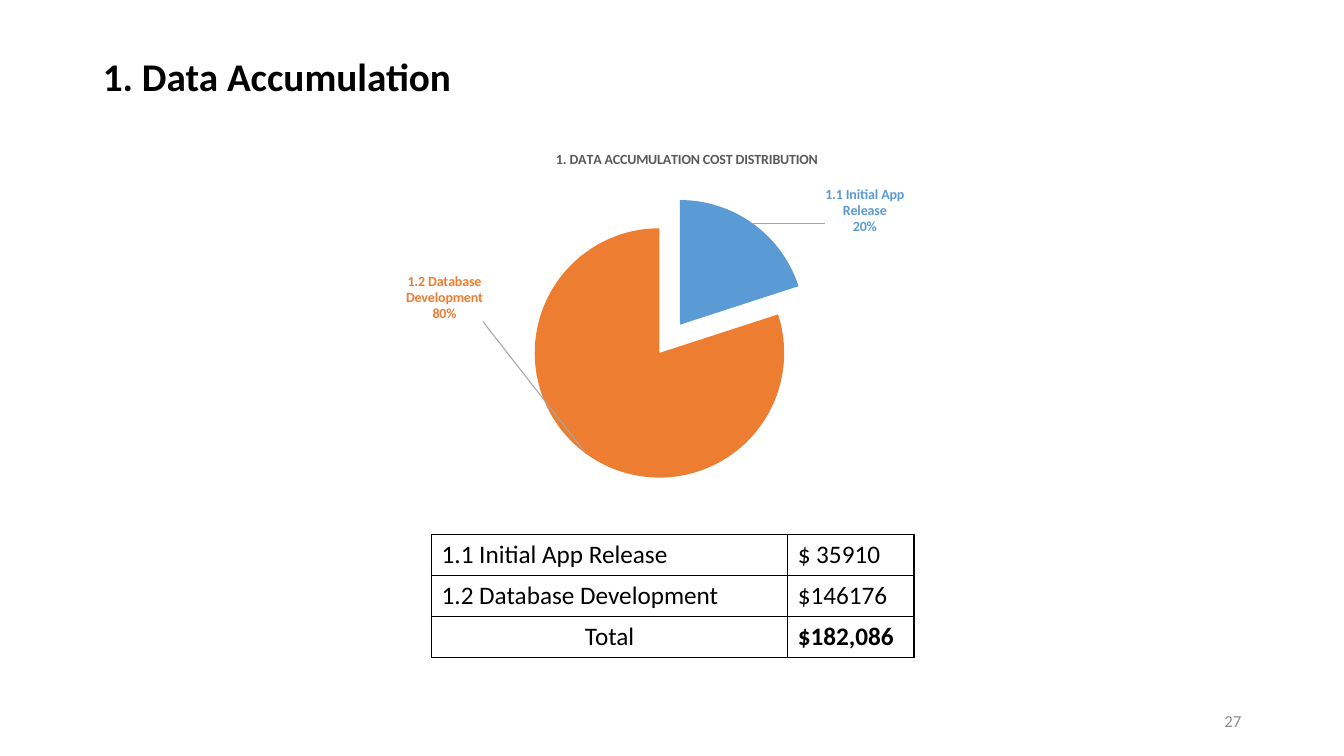
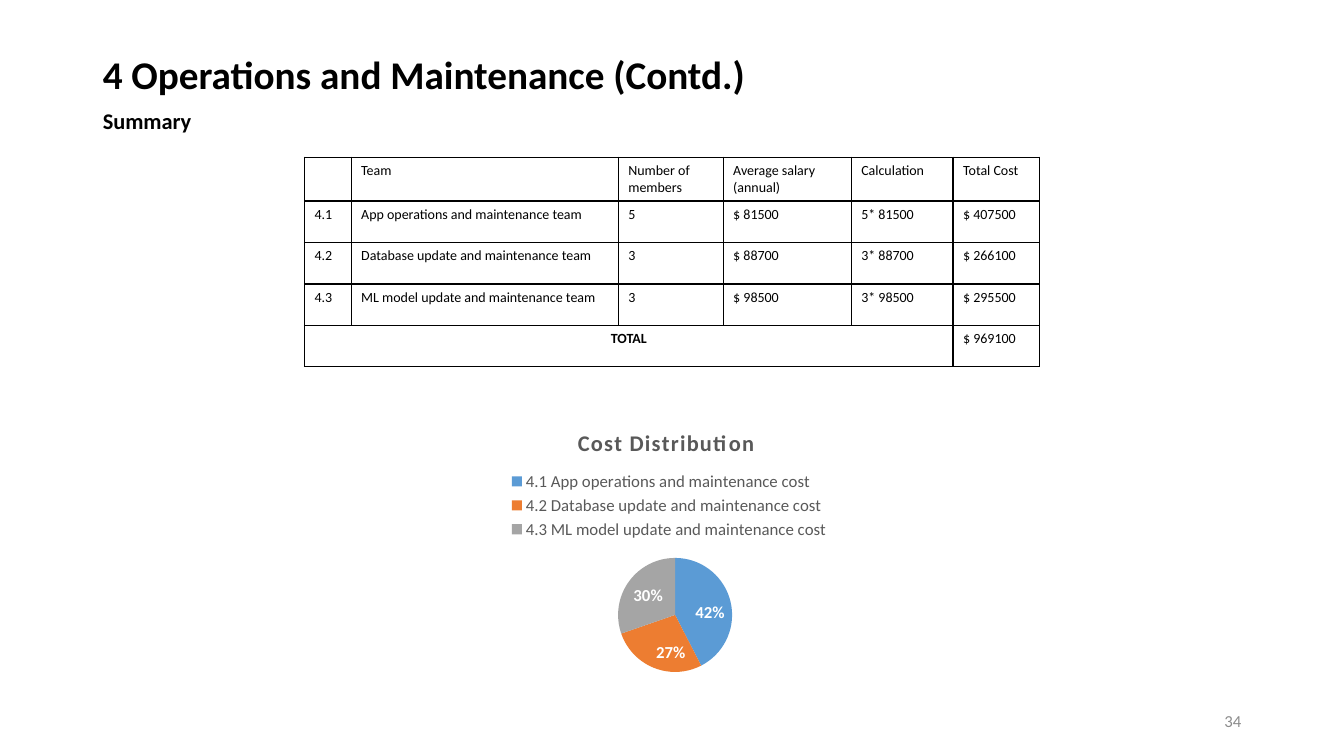
from dataclasses import dataclass
from typing import Optional

from pptx import Presentation
from pptx.chart.data import CategoryChartData
from pptx.dml.color import RGBColor
from pptx.enum.chart import XL_CHART_TYPE as ChartType
from pptx.enum.chart import XL_LABEL_POSITION as LabelPosition
from pptx.enum.chart import XL_LEGEND_POSITION as LegendPosition
from pptx.enum.text import MSO_ANCHOR as Anchor
from pptx.enum.text import PP_ALIGN as Align
from pptx.oxml import parse_xml
from pptx.oxml.ns import nsdecls, qn
from pptx.util import Inches, Pt

SLIDE_WIDTH, SLIDE_HEIGHT = Inches(13.33), Inches(7.5)
FONT = "Calibri"
COLORS = {
    "text": "000000",
    "muted": "8C8C8C",
    "chart_text": "595959",
    "leader": "A6A6A6",
    "white": "FFFFFF",
    "blue": "5B9BD5",
    "orange": "ED7D31",
    "gray": "A5A5A5",
}
SLICE_COLORS = ["blue", "orange", "gray"]
TITLE_ONLY, TITLE_AND_CONTENT = 5, 1


def across(percent: float) -> int:
    return round(SLIDE_WIDTH * percent / 100)


def down(percent: float) -> int:
    return round(SLIDE_HEIGHT * percent / 100)


@dataclass(frozen=True)
class Box:
    left: float
    top: float
    width: float
    height: float

    def lengths(self) -> tuple[int, int, int, int]:
        return across(self.left), down(self.top), across(self.width), down(self.height)


@dataclass(frozen=True)
class TextStyle:
    size: float
    color: str = "text"
    bold: bool = False
    align: Align = Align.LEFT


@dataclass(frozen=True)
class TableCell:
    text: str
    bold: bool = False
    align: Align = Align.LEFT
    span: int = 1


@dataclass(frozen=True)
class TablePlan:
    left: float
    top: float
    columns: list[float]
    row_height: float
    size: float
    rows: list[list[TableCell]]


@dataclass(frozen=True)
class PiePlan:
    box: Box
    title: str
    title_size: float
    title_spot: tuple[float, float]
    plot_spot: tuple[float, float, float, float]
    slices: dict[str, float]
    title_spacing: int = 0
    legend_spot: Optional[tuple[float, float]] = None
    explosion: int = 0
    label_shifts: Optional[list[tuple[float, float]]] = None


NUMBER_BOX = Box(70.6, 92.7, 22.5, 5.33)
TITLE_STYLE = TextStyle(28, bold=True)
BODY_STYLE = TextStyle(16, bold=True, align=Align.JUSTIFY)
NUMBER_STYLE = TextStyle(12, "muted", align=Align.RIGHT)


def style_font(font, style: TextStyle) -> None:
    font.name = FONT
    font.size = Pt(style.size)
    font.bold = style.bold
    font.color.rgb = RGBColor.from_string(COLORS[style.color])


def write(frame, text: str, style: TextStyle) -> None:
    for index, line in enumerate(text.split("\n")):
        paragraph = frame.add_paragraph() if index else frame.paragraphs[0]
        paragraph.alignment = style.align
        if line:
            run = paragraph.add_run()
            run.text = line
            style_font(run.font, style)


def place(shape, box: Box) -> None:
    shape.left, shape.top, shape.width, shape.height = box.lengths()


def start_slide(presentation, layout: int, title: str, title_height: float, number: str):
    slide = presentation.slides.add_slide(presentation.slide_layouts[layout])
    heading = slide.shapes.title
    place(heading, Box(6.9, 5.33, 86.25, title_height))
    heading.text_frame.vertical_anchor = Anchor.MIDDLE
    write(heading.text_frame, title, TITLE_STYLE)
    heading.text_frame.paragraphs[0].line_spacing = 0.9
    number_box = slide.shapes.add_textbox(*NUMBER_BOX.lengths())
    number_box.text_frame.word_wrap = True
    number_box.text_frame.vertical_anchor = Anchor.MIDDLE
    write(number_box.text_frame, number, NUMBER_STYLE)
    return slide


def fill_body(slide, box: Box, text: str) -> None:
    body = slide.placeholders[1]
    place(body, box)
    write(body.text_frame, text, BODY_STYLE)
    paragraph = body.text_frame.paragraphs[0]
    paragraph.space_before = Pt(0)
    properties = paragraph._p.get_or_add_pPr()
    properties.set("marL", "0")
    properties.set("indent", "0")
    properties.append(parse_xml(f"<a:buNone {nsdecls('a')}/>"))


def add_borders(cell) -> None:
    properties = cell._tc.get_or_add_tcPr()
    for index, side in enumerate(("lnL", "lnR", "lnT", "lnB")):
        properties.insert(index, parse_xml(
            f'<a:{side} {nsdecls("a")} w="{Pt(1)}"><a:solidFill>'
            f'<a:srgbClr val="{COLORS["text"]}"/></a:solidFill></a:{side}>'))


def draw_table(slide, plan: TablePlan) -> None:
    row_count = len(plan.rows)
    box = Box(plan.left, plan.top, sum(plan.columns), plan.row_height * row_count)
    table = slide.shapes.add_table(row_count, len(plan.columns), *box.lengths()).table
    table.first_row = table.horz_banding = False
    for column, width in zip(table.columns, plan.columns):
        column.width = across(width)
    for row in table.rows:
        row.height = down(plan.row_height)
        for cell in row.cells:
            cell.fill.background()
            add_borders(cell)
    for row_index, row_plan in enumerate(plan.rows):
        column_index = 0
        for item in row_plan:
            cell = table.cell(row_index, column_index)
            if item.span > 1:
                cell.merge(table.cell(row_index, column_index + item.span - 1))
            write(cell.text_frame, item.text,
                  TextStyle(plan.size, bold=item.bold, align=item.align))
            column_index += item.span


def set_layout(element, index: int, spot: tuple[float, ...], edge: bool = True) -> None:
    for old in element.findall(qn("c:layout")):
        element.remove(old)
    modes = '<c:xMode val="edge"/><c:yMode val="edge"/>' if edge else ""
    values = "".join(f'<c:{key} val="{value}"/>' for key, value in zip("xywh", spot))
    target = '<c:layoutTarget val="inner"/>' if len(spot) == 4 else ""
    element.insert(index, parse_xml(
        f'<c:layout {nsdecls("c")}><c:manualLayout>{target}{modes}{values}'
        f"</c:manualLayout></c:layout>"))


def label_outside(series, shifts: list[tuple[float, float]]) -> None:
    labels = series.data_labels
    labels.show_value = False
    labels.show_percentage = labels.show_category_name = True
    labels.number_format = "0%"
    labels.number_format_is_linked = False
    for index, shift in enumerate(shifts):
        label = series.points[index].data_label
        style_font(label.font, TextStyle(10, SLICE_COLORS[index], True))
        label.position = LabelPosition.OUTSIDE_END
        element = label._dLbl
        set_layout(element, 1, shift, edge=False)
        for name, value in (("showVal", "0"), ("showCatName", "1"), ("showPercent", "1")):
            element.find(qn(f"c:{name}")).set("val", value)
        element.append(parse_xml(f"<c:separator {nsdecls('c')}>\n</c:separator>"))
    group = labels._element
    for old in group.findall(qn("c:showLeaderLines")):
        group.remove(old)
    group.append(parse_xml(f'<c:showLeaderLines {nsdecls("c")} val="1"/>'))
    group.append(parse_xml(
        f'<c:leaderLines {nsdecls("c", "a")}><c:spPr><a:ln w="9525"><a:solidFill>'
        f'<a:srgbClr val="{COLORS["leader"]}"/></a:solidFill></a:ln></c:spPr>'
        f"</c:leaderLines>"))


def label_inside(series) -> None:
    labels = series.data_labels
    labels.show_value = False
    labels.show_percentage = True
    labels.number_format = "0%"
    labels.number_format_is_linked = False
    labels.position = LabelPosition.INSIDE_END
    style_font(labels.font, TextStyle(12, "white", True))


def draw_pie(slide, plan: PiePlan) -> None:
    data = CategoryChartData()
    data.categories = list(plan.slices)
    data.add_series("Series 1", list(plan.slices.values()))
    chart = slide.shapes.add_chart(ChartType.PIE, *plan.box.lengths(), data).chart
    style_font(chart.font, TextStyle(10))
    chart.has_title = True
    title_frame = chart.chart_title.text_frame
    write(title_frame, plan.title,
          TextStyle(plan.title_size, "chart_text", True, Align.CENTER))
    if plan.title_spacing:
        title_run = title_frame.paragraphs[0].runs[0]
        title_run._r.get_or_add_rPr().set("spc", str(plan.title_spacing))
    set_layout(chart.chart_title._element, 1, plan.title_spot)
    set_layout(chart._chartSpace.chart.plotArea, 0, plan.plot_spot)
    chart.has_legend = plan.legend_spot is not None
    if plan.legend_spot:
        chart.legend.position = LegendPosition.TOP
        chart.legend.include_in_layout = False
        style_font(chart.legend.font, TextStyle(12, "chart_text"))
        set_layout(chart.legend._element, 1, plan.legend_spot)
    plot = chart.plots[0]
    plot.vary_by_categories = True
    series = plot.series[0]
    for index in range(len(plan.slices)):
        point = series.points[index]
        point.format.fill.solid()
        point.format.fill.fore_color.rgb = RGBColor.from_string(COLORS[SLICE_COLORS[index]])
        point.format.line.fill.background()
    if plan.explosion:
        first_slice = series._element.find(qn("c:dPt"))
        first_slice.find(qn("c:spPr")).addprevious(
            parse_xml(f'<c:explosion {nsdecls("c")} val="{plan.explosion}"/>'))
    if plan.label_shifts:
        label_outside(series, plan.label_shifts)
    else:
        label_inside(series)


def plain_row(*texts: str) -> list[TableCell]:
    return [TableCell(text) for text in texts]


ACCUMULATION_TABLE = TablePlan(32.11, 70.67, [26.5, 9.4], 5.42, 18, [
    plain_row("1.1 Initial App Release", "$ 35910"),
    plain_row("1.2 Database Development", "$146176"),
    [TableCell("Total", align=Align.CENTER), TableCell("$182,086", bold=True)],
])
ACCUMULATION_PIE = PiePlan(
    Box(26.33, 18, 46.4, 50.8), "1. DATA ACCUMULATION COST DISTRIBUTION", 10,
    (0.32, 0.03), (0.29, 0.24, 0.4, 0.65),
    {"1.1 Initial App Release": 20, "1.2 Database Development": 80},
    explosion=28, label_shifts=[(0.11, 0.04), (-0.16, -0.48)])
MAINTENANCE_TABLE = TablePlan(
    22.66, 20.8, [3.47, 19.88, 7.8, 9.53, 7.58, 6.45], 5.49, 10, [
        plain_row("", "Team", "Number of members", "Average salary\n(annual)",
                  "Calculation", "Total Cost"),
        plain_row("4.1", "App operations and maintenance team", "5", "$ 81500",
                  "5* 81500", "$ 407500"),
        plain_row("4.2", "Database update and maintenance team", "3", "$ 88700",
                  "3* 88700", "$ 266100"),
        plain_row("4.3", "ML model update and maintenance team", "3", "$ 98500",
                  "3* 98500", "$ 295500"),
        [TableCell("TOTAL", True, Align.CENTER, 5), TableCell("$ 969100")],
    ])
MAINTENANCE_PIE = PiePlan(
    Box(27.16, 52.93, 45.69, 38.67), "Cost Distribution", 16,
    (0.34, 0.08), (0.41, 0.54, 0.19, 0.39),
    {"4.1 App operations and maintenance cost": 42,
     "4.2 Database update and maintenance cost": 27,
     "4.3 ML model update and maintenance cost": 30},
    title_spacing=100, legend_spot=(0.23, 0.23))


def main() -> None:
    presentation = Presentation()
    presentation.slide_width, presentation.slide_height = SLIDE_WIDTH, SLIDE_HEIGHT
    slide = start_slide(presentation, TITLE_ONLY, "1. Data Accumulation", 10.13, "27")
    draw_table(slide, ACCUMULATION_TABLE)
    draw_pie(slide, ACCUMULATION_PIE)
    slide = start_slide(presentation, TITLE_AND_CONTENT,
                        "4 Operations and Maintenance (Contd.)", 9.6, "34")
    fill_body(slide, Box(6.9, 13.47, 86.25, 79.07), "Summary")
    draw_table(slide, MAINTENANCE_TABLE)
    draw_pie(slide, MAINTENANCE_PIE)
    presentation.save("out.pptx")


if __name__ == "__main__":
    main()
